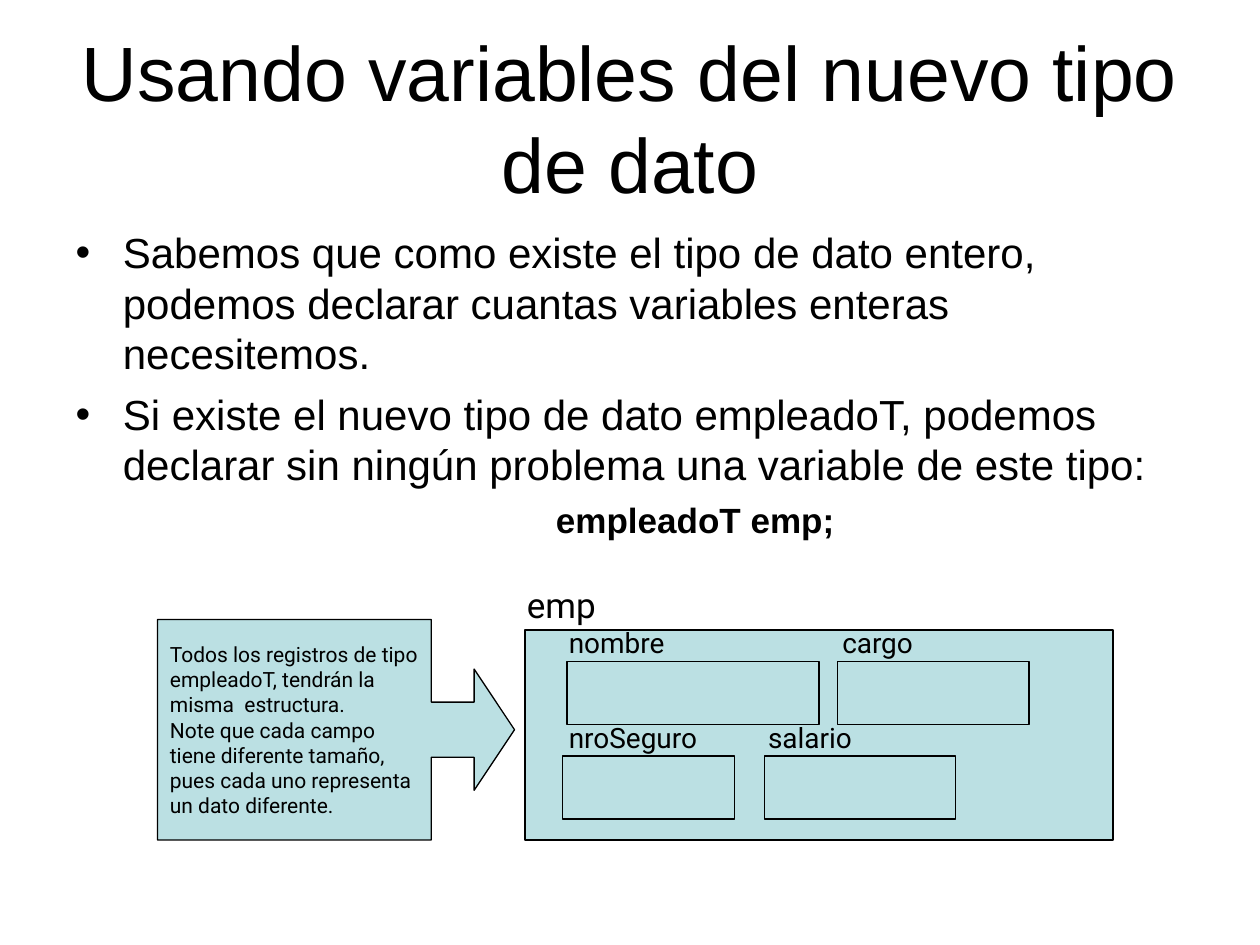
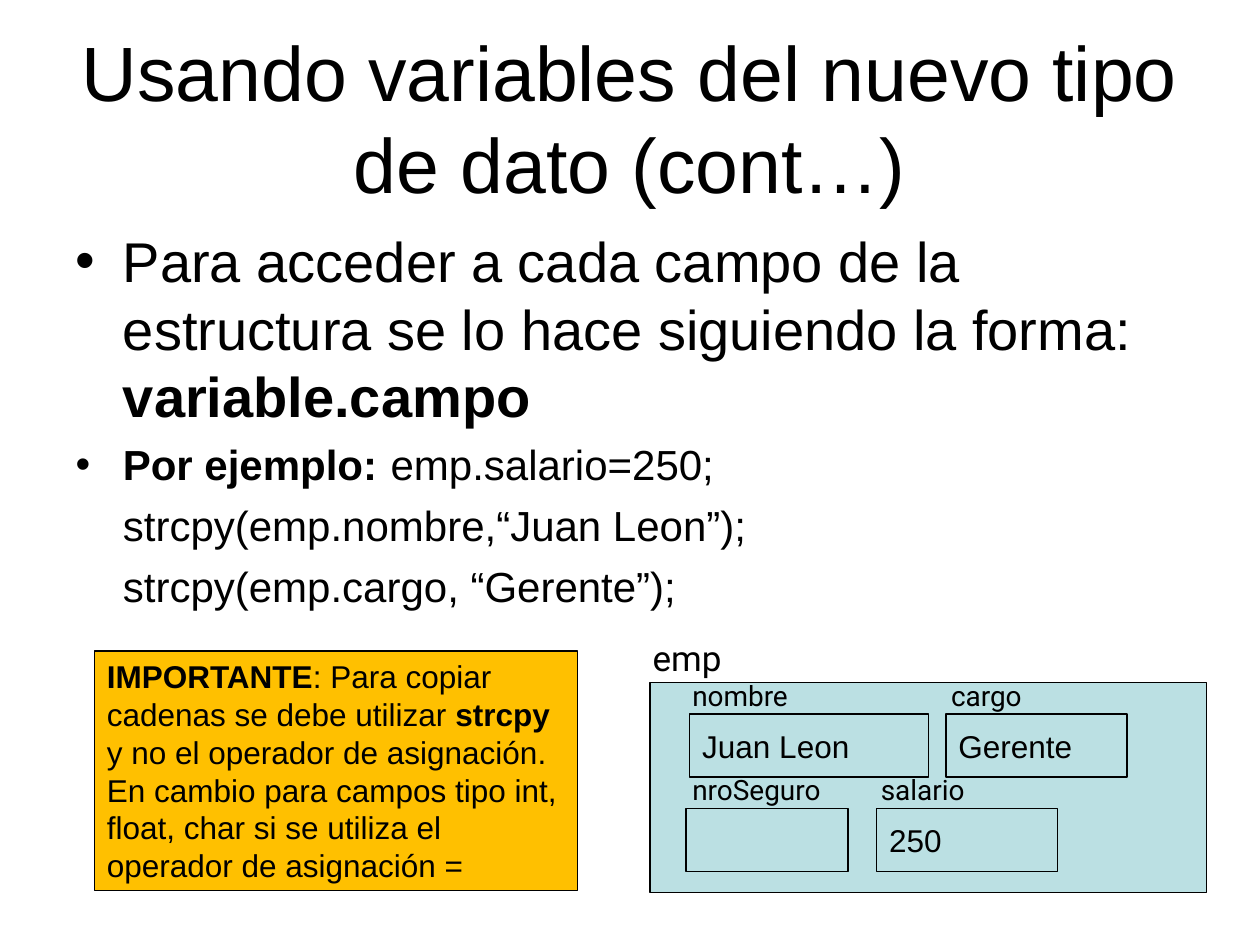
from dataclasses import dataclass

import pptx
import pptx.dml.color
import pptx.enum.shapes
import pptx.enum.text
import pptx.oxml.ns
import pptx.util
from lxml import etree
from pptx.util import Pt

BLACK, AQUA, AMBER = "000000", "BBE0E3", "FFC000"
SANS, LABEL_FONT = "Arial", "Roboto"
SHAPES = pptx.enum.shapes.MSO_SHAPE
ALIGN = pptx.enum.text.PP_ALIGN
ANCHOR = pptx.enum.text.MSO_ANCHOR
HANGING = 27
RECORD_WIDTH, RECORD_HEIGHT = 336, 120
FIELD_HEIGHT, LABEL_RISE, LABEL_HEIGHT = 36, 24, 26.6


@dataclass(frozen=True)
class Field:
    name: str
    left: float
    top: float
    width: float
    label_left: float
    label_width: float


FIELDS = (
    Field("nombre", 24, 18, 144, 18, 96),
    Field("cargo", 178.6, 18, 109.4, 174.2, 73),
    Field("nroSeguro", 21.6, 72, 98, 18, 96),
    Field("salario", 136.8, 72, 109.4, 131.8, 73),
)


@dataclass(frozen=True)
class Span:
    text: str
    bold: bool = False


def color(value: str):
    return pptx.dml.color.RGBColor.from_string(value)


def write(frame, *spans: Span, size: float, font: str = SANS, align=ALIGN.LEFT,
          before: float = 0, margin: float = 0, bullet: bool | None = None,
          tab: float | None = None):
    first = frame.paragraphs[0]
    para = first if not first.runs else frame.add_paragraph()
    para.alignment = align
    para.space_before = Pt(before)
    properties = para._p.get_or_add_pPr()
    if bullet is not None:
        properties.set("marL", str(Pt(margin)))
        properties.set("indent", str(Pt(-HANGING if bullet else 0)))
        tag = "a:buChar" if bullet else "a:buNone"
        mark = etree.SubElement(properties, pptx.oxml.ns.qn(tag))
        if bullet:
            mark.set("char", "•")
    if tab is not None:
        stops = etree.SubElement(properties, pptx.oxml.ns.qn("a:tabLst"))
        etree.SubElement(stops, pptx.oxml.ns.qn("a:tab"), pos=str(Pt(tab)), algn="l")
    for item in spans:
        span = para.add_run()
        span.text = item.text
        span.font.size = Pt(size)
        span.font.name = font
        span.font.bold = item.bold
        span.font.color.rgb = color(BLACK)


def place(box, left: float, top: float, width: float, height: float) -> None:
    box.left, box.top, box.width, box.height = Pt(left), Pt(top), Pt(width), Pt(height)


def add_page(deck, title: str, body_height: float):
    page = deck.slides.add_slide(deck.slide_layouts[1])
    heading, body = page.placeholders
    place(heading, 36, 21.6, 648, 90)
    place(body, 36, 126, 648, body_height)
    for box in (heading, body):
        box.text_frame.auto_size = pptx.enum.text.MSO_AUTO_SIZE.NONE
        box.text_frame.word_wrap = True
    heading.text_frame.vertical_anchor = ANCHOR.MIDDLE
    body.text_frame.vertical_anchor = ANCHOR.TOP
    write(heading.text_frame, Span(title), size=44, align=ALIGN.CENTER)
    return page, body.text_frame


def add_box(shapes, left: float, top: float, width: float, height: float,
            fill: str = AQUA, kind=SHAPES.RECTANGLE, anchor=ANCHOR.MIDDLE):
    box = shapes.add_shape(kind, Pt(left), Pt(top), Pt(width), Pt(height))
    box.shadow.inherit = False
    box.fill.solid()
    box.fill.fore_color.rgb = color(fill)
    box.line.color.rgb = color(BLACK)
    box.line.width = Pt(0.75)
    box.text_frame.word_wrap = True
    box.text_frame.vertical_anchor = anchor
    return box


def add_label(shapes, text: str, left: float, top: float, width: float,
              height: float = LABEL_HEIGHT, size: float = 16) -> None:
    box = shapes.add_textbox(Pt(left), Pt(top), Pt(width), Pt(height))
    box.text_frame.word_wrap = True
    write(box.text_frame, Span(text), size=size, font=LABEL_FONT)


def add_record(page, left: float, top: float, width: float, values: dict[str, str]) -> None:
    shapes = page.shapes.add_group_shape().shapes
    scale = width / RECORD_WIDTH
    add_box(shapes, left, top, width, RECORD_HEIGHT)
    for field in FIELDS:
        box = add_box(shapes, left + field.left * scale, top + field.top,
                      field.width * scale, FIELD_HEIGHT)
        if field.name in values:
            write(box.text_frame, Span(values[field.name]), size=18)
        add_label(shapes, field.name, left + field.label_left * scale,
                  top + field.top - LABEL_RISE, field.label_width * scale)
    add_label(shapes, "emp", left - 6 * scale, top - 30, 126 * scale, 31.5, size=20)


def build_declaration(deck) -> None:
    page, body = add_page(deck, "Usando variables del nuevo tipo de dato", 204)
    write(body, Span("Sabemos que como existe el tipo de dato entero, podemos declarar "
                     "cuantas variables enteras necesitemos."),
          size=24, margin=HANGING, bullet=True)
    write(body, Span("Si existe el nuevo tipo de dato empleadoT, podemos declarar sin "
                     "ningún problema una variable de este tipo:"),
          size=24, before=6, margin=HANGING, bullet=True)
    write(body, Span("empleadoT emp;", True), size=20, before=5, margin=274.5, bullet=False)
    add_record(page, 300, 360, RECORD_WIDTH, {})
    callout = add_box(page.shapes, 90, 354, 204, 126, kind=SHAPES.RIGHT_ARROW_CALLOUT)
    for index, value in enumerate((0.25, 0.275, 0.183, 0.767)):
        callout.adjustments[index] = value
    for text in ("Todos los registros de tipo empleadoT, tendrán la misma  estructura.",
                 "Note que cada campo tiene diferente tamaño, pues cada uno representa "
                 "un dato diferente."):
        write(callout.text_frame, Span(text), size=12, font=LABEL_FONT)


def build_access(deck) -> None:
    page, body = add_page(deck, "Usando variables del nuevo tipo de dato (cont…)", 246)
    write(body, Span("Para acceder a cada campo de la estructura se lo hace siguiendo la forma: "),
          Span("variable.campo", True), size=32, margin=HANGING, bullet=True)
    write(body, Span("Por ejemplo:", True), Span("\temp.salario=250;"),
          size=24, before=6, margin=HANGING, bullet=True, tab=172)
    for code in ("strcpy(emp.nombre,“Juan Leon”);", "strcpy(emp.cargo, “Gerente”);"):
        write(body, Span(code), size=24, before=6, margin=HANGING, bullet=False)
    warning = add_box(page.shapes, 54, 372, 276, 137, AMBER, anchor=ANCHOR.TOP).text_frame
    write(warning, Span("IMPORTANTE", True), Span(": Para copiar cadenas se debe utilizar "),
          Span("strcpy ", True), Span("y no el operador de asignación."), size=18)
    write(warning, Span("En cambio para campos tipo int, float, char si se utiliza el "
                        "operador de asignación ="), size=18)
    add_record(page, 371.5, 390, 318,
               {"nombre": "Juan Leon", "cargo": "Gerente", "salario": "250"})


def main() -> None:
    deck = pptx.Presentation()
    deck.slide_width, deck.slide_height = Pt(720), Pt(540)
    build_declaration(deck)
    build_access(deck)
    deck.save("out.pptx")


if __name__ == "__main__":
    main()
